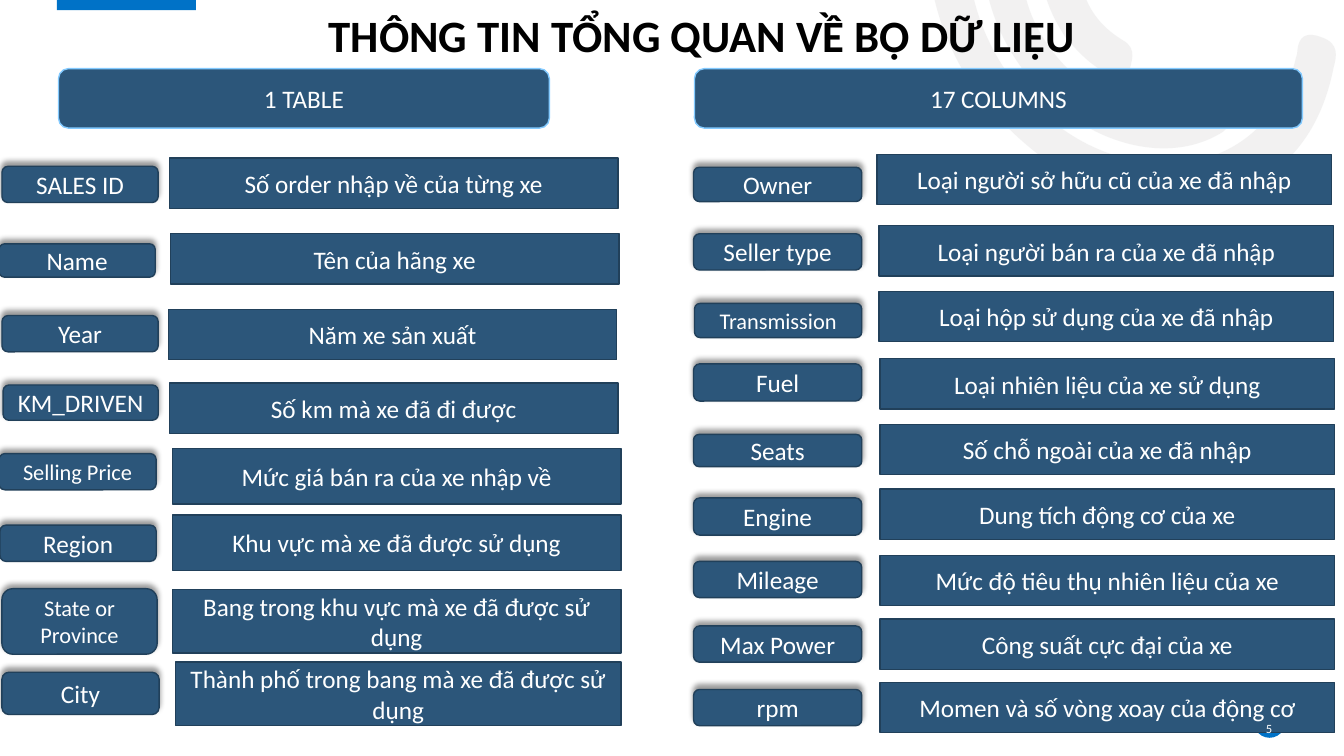
from math import cos, radians, sin
from lxml import etree
from pptx import Presentation
from pptx import util as u
from pptx.dml.color import RGBColor
from pptx.enum import shapes, text
from pptx.oxml.ns import qn

Pt = u.Pt
KIND = shapes.MSO_SHAPE
NAVY, EDGE, SKY, BLUE, GREY, WHITE = "2C567A", "21405A", "83CAFF", "0072C7", "E7E6E6", "FFFFFF"
TURN = 144.2

# Each arc: frame before turning (points), then start and Bezier segments (inches on the slide)
ARCS = [
    ((677.5, -173.5, 230.4, 349.2), (9.65, 0.86), [
        (9.23, 0.22, 9.07, -0.54, 9.36, -1.26), (9.66, -2, 10.24, -2.32, 11.04, -2.27),
        (11.15, -2.26, 11.27, -2.27, 11.34, -2.15), (11.45, -1.99, 11.35, -1.84, 11.14, -1.86),
        (10.21, -1.96, 9.55, -1.31, 9.61, -0.35), (9.66, 0.5, 10.3, 1.32, 11.09, 1.55),
        (11.92, 1.8, 12.65, 1.4, 12.85, 0.6), (12.85, 0.58, 12.87, 0.55, 12.87, 0.51),
        (12.88, 0.36, 12.96, 0.31, 13.11, 0.37), (13.29, 0.43, 13.26, 0.56, 13.23, 0.67),
        (13.1, 1.33, 12.74, 1.76, 12.15, 1.95), (11.33, 2.22, 10.34, 1.8, 9.65, 0.86)]),
    ((720, -105.1, 100.8, 248.4), (10.14, 0.68), [
        (9.65, 0.01, 9.63, -0.81, 10.08, -1.32), (10.15, -1.4, 10.22, -1.51, 10.35, -1.37),
        (10.47, -1.25, 10.49, -1.15, 10.38, -1.03), (10.04, -0.62, 10.06, 0, 10.42, 0.48),
        (10.77, 0.97, 11.36, 1.18, 11.85, 0.97), (11.99, 0.92, 12.07, 0.98, 12.15, 1.11),
        (12.24, 1.28, 12.13, 1.31, 12.04, 1.36), (11.46, 1.65, 10.63, 1.36, 10.14, 0.68)]),
    ((757.4, -37.4, 36.7, 106.6), (10.57, 0.37), [
        (10.46, 0.2, 10.37, 0.02, 10.35, -0.17), (10.35, -0.24, 10.31, -0.36, 10.42, -0.34),
        (10.53, -0.33, 10.68, -0.35, 10.72, -0.18), (10.78, 0.08, 10.91, 0.26, 11.14, 0.4),
        (11.29, 0.48, 11.22, 0.62, 11.2, 0.72), (11.18, 0.84, 11.08, 0.77, 11.01, 0.74),
        (10.83, 0.66, 10.7, 0.52, 10.57, 0.37)]),
]

# Field, size, tag (x, y, width, height), meaning, its box (x, y, width, height)
LEFT = [
    ("SALES ID", 18, (1.4, 10.8, 111.6, 25.9),
     "Số order nhập về của từng xe", (121, 5, 320.4, 36)),
    ("Name", 18, (-0.7, 66.2, 111.6, 23.8), "Tên của hãng xe", (121.7, 59, 320.4, 36)),
    ("Year", 18, (1.4, 117.4, 111.6, 25.9), "Năm xe sản xuất", (120.2, 113, 320.4, 36)),
    ("KM_DRIVEN", 18, (2.2, 167, 110.9, 25.2),
     "Số km mà xe đã đi được", (121, 165.6, 320.4, 36)),
    ("Selling Price", 16, (-0.7, 216, 112.3, 25.9),
     "Mức giá bán ra của xe nhập về", (123.1, 212.4, 320.4, 39.6)),
    ("Region", 18, (0, 267.1, 111.6, 25.9),
     "Khu vực mà xe đã được sử dụng", (123.1, 259.9, 320.4, 39.6)),
    ("State or Province", 16, (1.4, 312.5, 110.9, 46.8),
     "Bang trong khu vực mà xe đã được sử dụng", (123.1, 313.2, 320.4, 45.4)),
    ("City", 18, (1.4, 372.2, 112.3, 30.2),
     "Thành phố trong bang mà xe đã được sử dụng", (125.3, 365, 318.2, 45.4)),
]
RIGHT = [
    (name, size, (x, y, 120.2 - x, high), note, (bx, by, 324.7, 36))
    for name, size, (x, y, high), note, (bx, by) in [
        ("Owner", 18, (0, 11.5, 24.5), "Loại người sở hữu cũ của xe đã nhập", (131, 2.2)),
        ("Seller type", 18, (0, 59, 25.9), "Loại người bán ra của xe đã nhập", (132.5, 53.3)),
        ("Transmission", 16, (0.7, 108.7, 24.5), "Loại hộp sử dụng của xe đã nhập", (132.5, 100.1)),
        ("Fuel", 18, (0, 151.9, 26.6), "Loại nhiên liệu của xe sử dụng", (133.2, 148.3)),
        ("Seats", 18, (0, 202.3, 23), "Số chỗ ngoài của xe đã nhập", (133.2, 195.1)),
        ("Engine", 18, (0, 247.7, 26.6), "Dung tích động cơ của xe", (133.2, 241.2)),
        ("Mileage", 18, (0, 293, 25.9), "Mức độ tiêu thụ nhiên liệu của xe", (133.2, 288.7)),
        ("Max Power", 18, (0, 339.1, 25.9), "Công suất cực đại của xe", (133.2, 334.1)),
        ("rpm", 18, (0, 384.5, 25.9), "Momen và số vòng xoay của động cơ", (133.2, 379.4)),
    ]
]


def paint(fmt, tint):
    fmt.solid()
    fmt.fore_color.rgb = RGBColor.from_string(tint)


def place(shape, box):
    shape.left, shape.top, shape.width, shape.height = map(Pt, box)


def write(frame, words, size, tint, align, bold=False):
    frame.word_wrap = True
    para = frame.paragraphs[0]
    para.alignment = align
    run = para.add_run()
    run.text = words
    font = run.font
    font.name, font.size, font.bold = "Calibri", Pt(size), bold
    font.color.rgb = RGBColor.from_string(tint)
    return para


def trim(frame, anchor):
    frame.margin_left = frame.margin_right = frame.margin_top = frame.margin_bottom = 0
    frame.vertical_anchor = anchor


def block(slide, kind, box, fill, line=None, words="", size=18):
    shape = slide.shapes.add_shape(kind, *map(Pt, box))
    shape.shadow.inherit = False
    paint(shape.fill, fill)
    if line:
        paint(shape.line.fill, line)
        shape.line.width = Pt(1)
    else:
        shape.line.fill.background()
    if words:
        shape.text_frame.vertical_anchor = text.MSO_ANCHOR.MIDDLE
        write(shape.text_frame, words, size, WHITE, text.PP_ALIGN.CENTER)
    return shape


def shade(shape):
    """Cast a soft shadow upwards."""
    glow = etree.SubElement(shape._element.spPr.find(qn("a:effectLst")), qn("a:outerShdw"),
                            blurRad=str(Pt(4)), dist=str(Pt(3)), dir="16200000", rotWithShape="0")
    black = etree.SubElement(glow, qn("a:srgbClr"), val="000000")
    etree.SubElement(black, qn("a:alpha"), val="40000")


def curve(slide, box, start, bends):
    """Draw a closed Bezier outline inside a turned frame."""
    left, top, width, high = box
    c, s = cos(radians(TURN)), sin(radians(TURN))

    def local(x, y):
        dx, dy = x * 72 - left - width / 2, y * 72 - top - high / 2
        return Pt(dx * c + dy * s + width / 2), Pt(dy * c - dx * s + high / 2)

    pen = slide.shapes.build_freeform(*local(*start))
    pen.add_line_segments([local(*bend[4:]) for bend in bends])
    arc = pen.convert_to_shape()
    place(arc, box)
    arc.rotation = TURN
    route = next(arc._element.iter(qn("a:path")))
    route.set("w", str(Pt(width)))
    route.set("h", str(Pt(high)))
    for part in list(route):
        route.remove(part)
    moves = [("a:moveTo", start)] + [("a:cubicBezTo", bend) for bend in bends]
    for tag, spots in moves:
        step = etree.SubElement(route, qn(tag))
        for x, y in zip(spots[::2], spots[1::2]):
            px, py = local(x, y)
            etree.SubElement(step, qn("a:pt"), x=str(px), y=str(py))
    etree.SubElement(route, qn("a:close"))
    return arc


def backdrop(slide):
    for box, start, bends in ARCS:
        arc = curve(slide, box, start, bends)
        arc.shadow.inherit = False
        paint(arc.fill, GREY)
        arc.line.fill.background()
        tint = arc._element.spPr.find(qn("a:solidFill"))[0]
        etree.SubElement(tint, qn("a:alpha"), val="53000")
    block(slide, KIND.RECTANGLE, (40.6, -1.4, 99.4, 8.6), BLUE)
    block(slide, KIND.OVAL, (895.7, 504.7, 22.3, 22.3), BLUE)


def heading(slide, box):
    title = slide.shapes.title
    place(title, box)
    frame = title.text_frame
    trim(frame, text.MSO_ANCHOR.TOP)
    frame.auto_size = text.MSO_AUTO_SIZE.NONE
    para = write(frame, "THÔNG TIN TỔNG QUAN VỀ BỘ DỮ LIỆU", 32, "000000",
                 text.PP_ALIGN.LEFT, True)
    para.add_line_break()
    para.line_spacing = 0.9
    slide.shapes._spTree.append(title._element)


def fields(slide, spot, rows):
    left, top = spot
    for name, size, (x, y, *tag), note, (bx, by, *box) in rows:
        block(slide, KIND.RECTANGLE, (left + bx, top + by, *box), NAVY, EDGE, note)
        shade(block(slide, KIND.ROUNDED_RECTANGLE, (left + x, top + y, *tag),
                    NAVY, EDGE, name, size))


def number(slide, box):
    frame = slide.shapes.add_textbox(*map(Pt, box)).text_frame
    trim(frame, text.MSO_ANCHOR.MIDDLE)
    write(frame, "5", 9, WHITE, text.PP_ALIGN.CENTER)


def main():
    deck = Presentation()
    deck.slide_width, deck.slide_height = Pt(960), Pt(540)
    slide = deck.slides.add_slide(deck.slide_layouts[5])
    backdrop(slide)
    heading(slide, (234.7, 10, 877.7, 72.7))
    for left, width, words in ((41.8, 350.6, "1 TABLE"), (496.1, 434.2, "17 COLUMNS")):
        block(slide, KIND.ROUNDED_RECTANGLE, (left, 49, width, 42.5), NAVY, SKY, words)
    fields(slide, (0, 108), LEFT)
    fields(slide, (495.4, 108), RIGHT)
    number(slide, (895, 513.4, 23, 14.4))
    deck.save("out.pptx")


if __name__ == "__main__":
    main()
